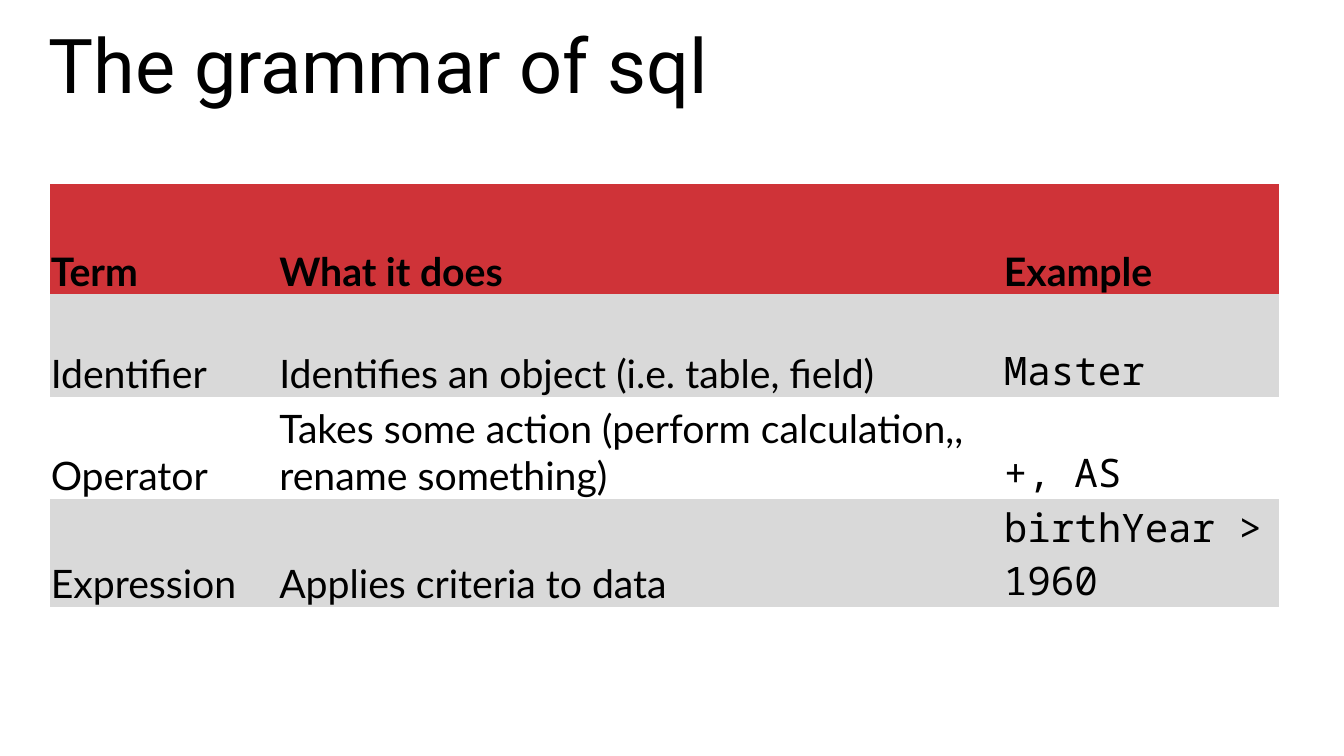
from dataclasses import dataclass

from pptx import Presentation
from pptx.dml.color import RGBColor
from pptx.enum.text import MSO_ANCHOR, PP_ALIGN
from pptx.oxml.ns import qn
from pptx.util import Cm, Pt

LEFT = PP_ALIGN.LEFT
MIDDLE, BOTTOM = MSO_ANCHOR.MIDDLE, MSO_ANCHOR.BOTTOM
TITLE_ONLY = 5
NO_STYLE_NO_GRID = "{2D5ABB26-0587-4C30-8999-92F81FD0307C}"


@dataclass(frozen=True)
class Theme:
    text: RGBColor = RGBColor(0, 0, 0)
    header: RGBColor = RGBColor(0xCF, 0x33, 0x38)
    band: RGBColor = RGBColor(0xD9, 0xD9, 0xD9)
    title_font: str = "Roboto"
    body_font: str = "Lato"
    code_font: str = "Noto Sans Mono"
    title_size: int = 54
    body_size: int = 28


class SlideBuilder:
    def __init__(self, prs, theme):
        self.theme = theme
        self.slide = prs.slides.add_slide(prs.slide_layouts[TITLE_ONLY])

    def style(self, p, name, size, bold=False):
        p.alignment = LEFT
        p.font.name, p.font.size, p.font.bold = name, Pt(size), bold
        p.font.color.rgb = self.theme.text

    def title(self, text, left, top, width, height):
        sp = self.slide.shapes.title
        sp.left, sp.top, sp.width, sp.height = map(Cm, (left, top, width, height))
        tf = sp.text_frame
        tf.text = text
        tf.vertical_anchor = MIDDLE
        self.style(tf.paragraphs[0], self.theme.title_font, self.theme.title_size)

    def table(self, rows, left, top, widths, heights):
        """Add a table with a header row, grey odd rows and code in the last column."""
        frame = self.slide.shapes.add_table(
            len(rows), len(widths), Cm(left), Cm(top), Cm(sum(widths)), Cm(sum(heights)))
        for style_id in frame.element.iter(qn("a:tableStyleId")):
            style_id.text = NO_STYLE_NO_GRID
        table = frame.table
        table.horz_banding = False
        for column, width in zip(table.columns, widths):
            column.width = Cm(width)
        for i, (row, height) in enumerate(zip(rows, heights)):
            table.rows[i].height = Cm(height)
            for j, text in enumerate(row):
                is_code = i > 0 and j == len(row) - 1
                self.cell(table.cell(i, j), text, i, is_code)

    def cell(self, cell, text, row, is_code):
        theme = self.theme
        cell.text = text
        cell.vertical_anchor = BOTTOM
        cell.margin_left = cell.margin_right = cell.margin_top = Cm(0.03)
        cell.margin_bottom = 0
        font = theme.code_font if is_code else theme.body_font
        self.style(cell.text_frame.paragraphs[0], font, theme.body_size, row == 0)
        if row == 0 or row % 2:
            cell.fill.solid()
            cell.fill.fore_color.rgb = theme.band if row else theme.header
        else:
            cell.fill.background()


def main():
    prs = Presentation()
    prs.slide_width, prs.slide_height = Cm(33.87), Cm(19.05)
    builder = SlideBuilder(prs, Theme())
    builder.title("The grammar of sql", 0.97, 0.3, 31.8, 2.57)
    builder.table(
        [
            ("Term", "What it does", "Example"),
            ("Identifier", "Identifies an object (i.e. table, field)", "Master"),
            ("Operator", "Takes some action (perform calculation,, rename something)", "+, AS"),
            ("Expression", "Applies criteria to data", "birthYear > 1960"),
        ],
        left=1.25, top=4.63,
        widths=(5.76, 18.26, 6.95), heights=(2.79, 2.58, 2.58, 2.58))
    prs.save("out.pptx")


if __name__ == "__main__":
    main()
